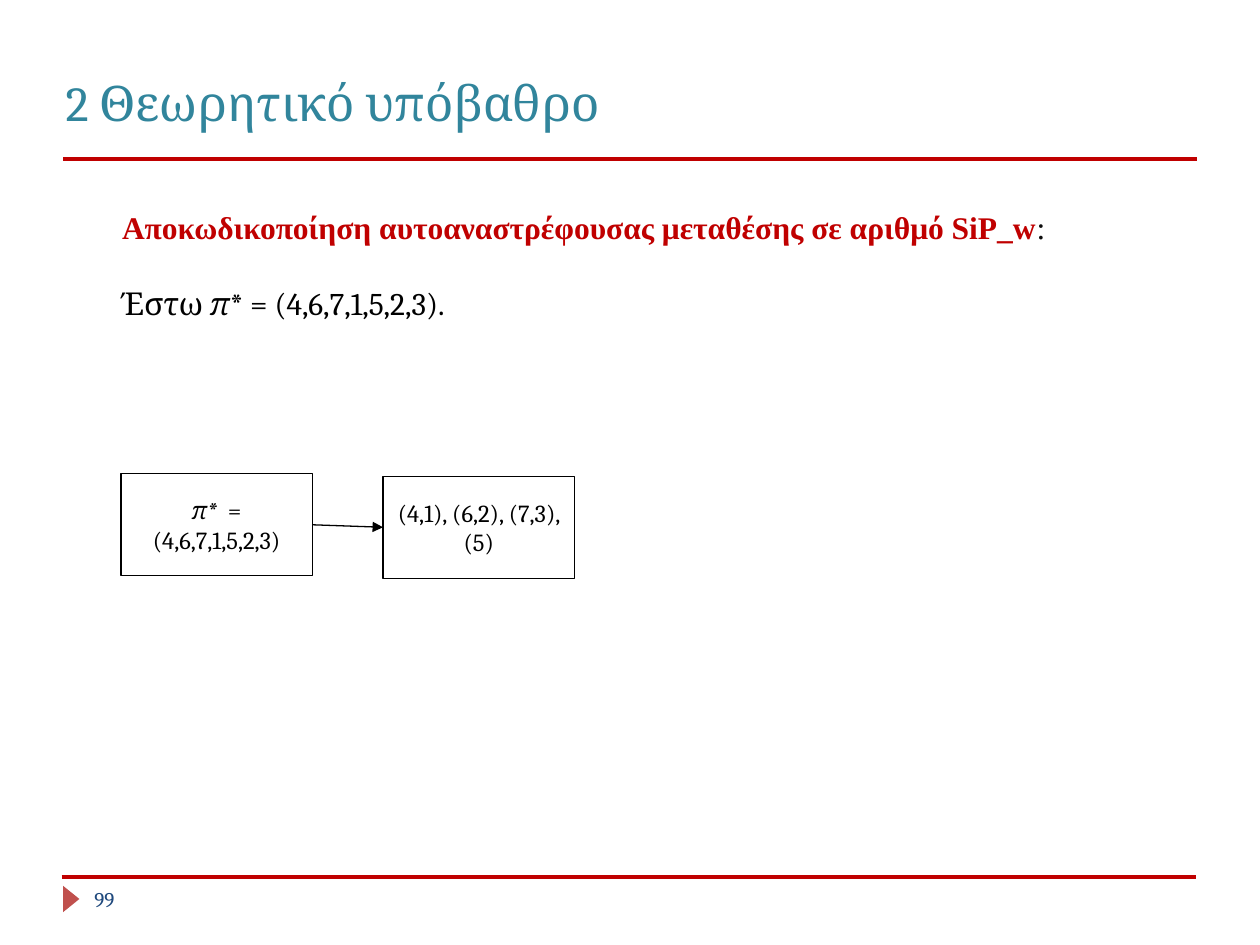
from lxml import etree
from pptx import Presentation
from pptx.dml.color import RGBColor
from pptx.enum import shapes, text
from pptx.oxml import ns
from pptx.util import Inches, Pt


def color(value):
    return RGBColor.from_string(value)


def add_run(paragraph, words, size, ink, bold=False, italic=False, face="Cambria"):
    run = paragraph.add_run()
    run.text = words
    run.font.name = face
    run.font.size = Pt(size)
    run.font.bold = bold
    run.font.italic = italic
    run.font.color.rgb = color(ink)


prs = Presentation()
prs.slide_width = Inches(10)
prs.slide_height = Inches(7.5)
slide = prs.slides.add_slide(prs.slide_layouts[6])

marker = slide.shapes.add_shape(
    shapes.MSO_SHAPE.ISOSCELES_TRIANGLE, Inches(0.46), Inches(7.07), Inches(0.21), Inches(0.13))
marker.rotation = 90
marker.shadow.inherit = False
marker.fill.solid()
marker.fill.fore_color.rgb = color("C0504D")
marker.line.fill.background()

heading = slide.shapes.add_textbox(Inches(0.33), Inches(0.21), Inches(8.21), Inches(0.88)).text_frame
heading.word_wrap = True
heading.vertical_anchor = text.MSO_ANCHOR.BOTTOM
heading.margin_left = Inches(0.19)
add_run(heading.paragraphs[0], "2 Θεωρητικό υπόβαθρο", 28, "31859C")

page_number = slide.shapes.add_textbox(Inches(0.65), Inches(6.99), Inches(1.54), Inches(0.27)).text_frame
page_number.word_wrap = True
add_run(page_number.paragraphs[0], "99", 12, "1F497D")

steps = []
for left, top, parts in [
    (0.96, 3.76, [("π* ", True), (" = (4,6,7,1,5,2,3)", False)]),
    (3.04, 3.78, [("(4,1), (6,2), (7,3), (5)", False)]),
]:
    step = slide.shapes.add_shape(
        shapes.MSO_SHAPE.RECTANGLE, Inches(left), Inches(top), Inches(1.52), Inches(0.81))
    step.shadow.inherit = False
    step.fill.background()
    step.line.color.rgb = color("000000")
    step.line.width = Pt(0.75)
    frame = step.text_frame
    frame.word_wrap = True
    frame.margin_left = frame.margin_right = Inches(0.08)
    frame.vertical_anchor = text.MSO_ANCHOR.MIDDLE
    frame.paragraphs[0].alignment = text.PP_ALIGN.CENTER
    for words, italic in parts:
        add_run(frame.paragraphs[0], words, 14, "000000", italic=italic)
    steps.append(step)

lines = []
for x1, x2, y, ink, width in [
    (0.5, 9.5, 1.26, "C00000", 2.25),
    (0.49, 9.49, 6.96, "C00000", 2.25),
    (2.48, 3.04, 4.16, "000000", 0.75),
]:
    line = slide.shapes.add_connector(
        shapes.MSO_CONNECTOR.STRAIGHT, Inches(x1), Inches(y), Inches(x2), Inches(y))
    line.line.color.rgb = color(ink)
    line.line.width = Pt(width)
    etree.SubElement(line._element.spPr, ns.qn("a:effectLst"))
    lines.append(line)

arrow = lines[-1]
arrow.begin_connect(steps[0], 3)
arrow.end_connect(steps[1], 1)
etree.SubElement(arrow.line._get_or_add_ln(), ns.qn("a:tailEnd"), type="triangle")

body = slide.shapes.add_textbox(Inches(0.87), Inches(1.6), Inches(8.62), Inches(1.01)).text_frame
body.word_wrap = True
topic = body.paragraphs[0]
add_run(topic, "Aποκωδικοποίηση αυτοαναστρέφουσας μεταθέσης σε αριθμό SiP_w", 18, "C00000",
        bold=True, face="Times New Roman")
add_run(topic, ":", 18, "0D0D0D", face="Times New Roman")
example = body.add_paragraph()
example.alignment = text.PP_ALIGN.JUSTIFY
example.space_before = Pt(22)
add_run(example, "Έστω ", 18, "000000")
add_run(example, "π", 18, "000000", italic=True)
add_run(example, "* = (4,6,7,1,5,2,3).", 18, "000000")

prs.save("out.pptx")
